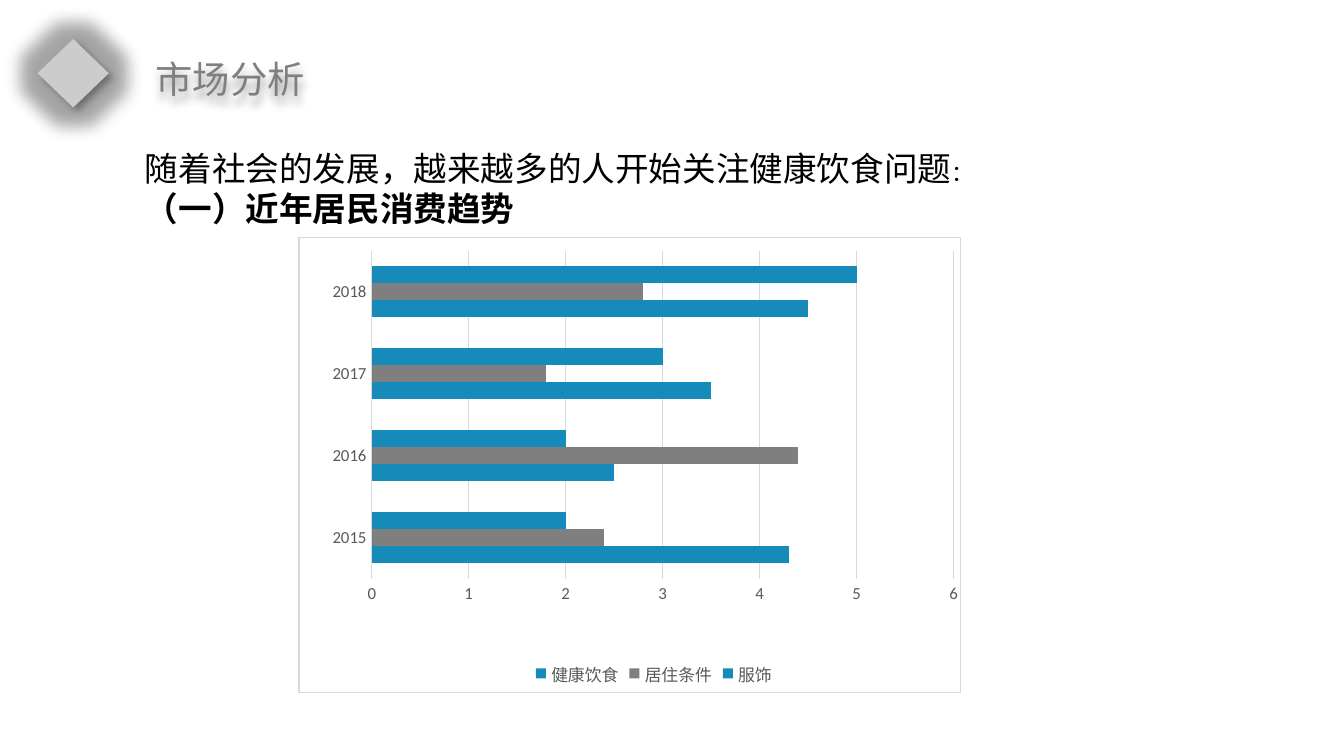
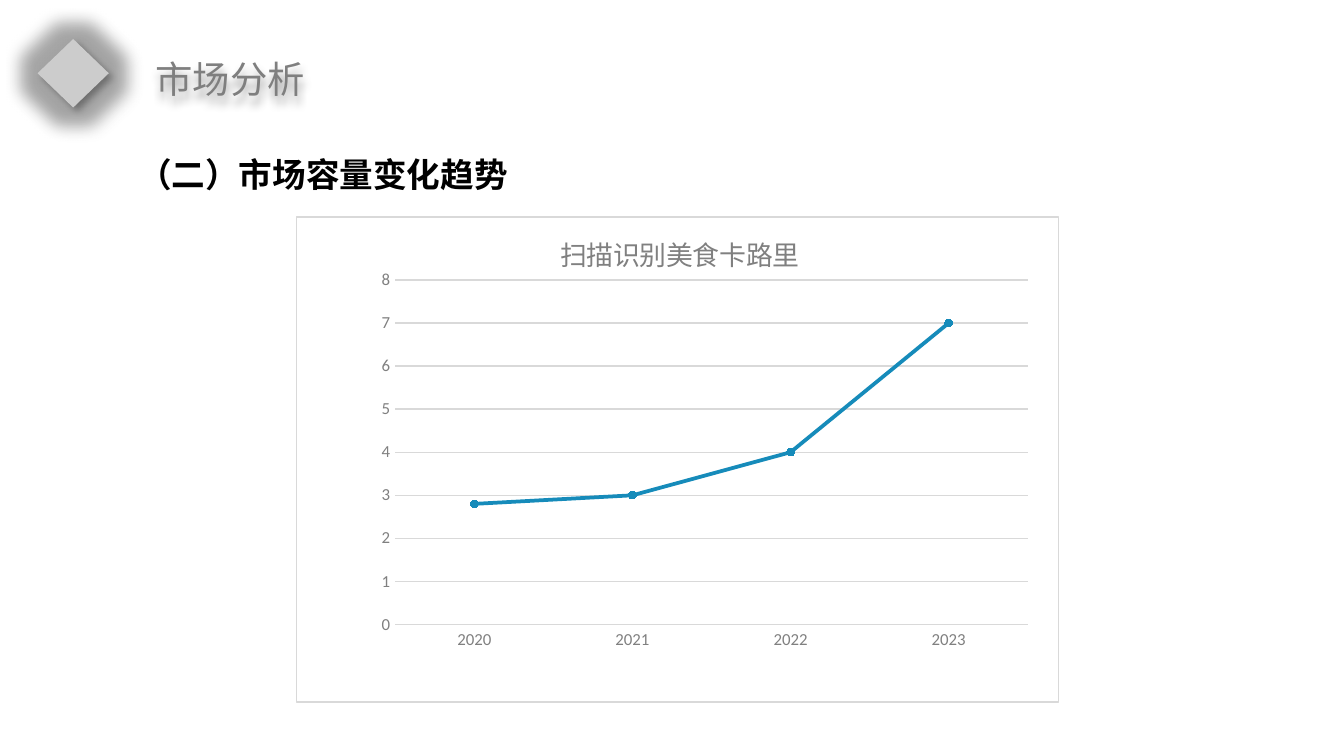
from dataclasses import dataclass

from lxml.etree import SubElement as Sub
from pptx import Presentation
from pptx.chart.data import CategoryChartData
from pptx.dml.color import RGBColor as RGB
from pptx.enum.chart import XL_CHART_TYPE as CT
from pptx.enum.chart import XL_LEGEND_POSITION as LP
from pptx.enum.chart import XL_MARKER_STYLE as MS
from pptx.enum.chart import XL_TICK_MARK as TM
from pptx.enum.shapes import MSO_SHAPE as SHAPE
from pptx.enum.text import MSO_AUTO_SIZE as AUTO
from pptx.oxml import parse_xml
from pptx.oxml.ns import nsdecls, qn
from pptx.util import Inches, Pt


@dataclass(frozen=True)
class Theme:
    """Colours, fonts and type sizes of the deck."""
    cjk: str = "Noto Sans CJK SC"
    latin: str = "Calibri"
    ink: str = "000000"
    paper: str = "FFFFFF"
    accent: str = "168BBA"
    grey: str = "7F7F7F"
    diamond: str = "CCCCCC"
    rule: str = "D9D9D9"
    label_dark: str = "595959"
    label_light: str = "808080"
    title: int = 20
    body: int = 18
    small: int = 12
    chart_title: float = 14.4
    chart: int = 10
    label: int = 9
    leading: float = 1.2


def write(p, text, *, font, size, color, bold=None):
    """Add a run of text in the given format to a paragraph."""
    r = p.add_run()
    r.text = text
    r.font.name, r.font.size, r.font.bold = font, Pt(size), bold
    r.font.color.rgb = RGB.from_string(color)
    Sub(r.font._element, qn("a:ea"), typeface=font)


def black(percent):
    """Return black at the given opacity."""
    return f'<a:srgbClr val="000000"><a:alpha val="{percent * 1000}"/></a:srgbClr>'


def add_effects(s, blur, dist, angle, glow=0):
    """Give a shape a soft shadow and, if wanted, a halo."""
    halo = f'<a:glow rad="{Pt(glow)}">{black(28)}</a:glow>' if glow else ""
    s._element.spPr.append(parse_xml(
        f'<a:effectLst {nsdecls("a")}>{halo}'
        f'<a:outerShdw blurRad="{Pt(blur)}" dist="{Pt(dist)}" dir="{angle * 60000}"'
        f' algn="ctr" rotWithShape="0">{black(40)}</a:outerShdw></a:effectLst>'))


def set_layout(parent, index, inner=False, **shares):
    """Place a chart part by shares of the chart's size."""
    for old in parent.findall(qn("c:layout")):
        parent.remove(old)
    layout = parent.makeelement(qn("c:layout"))
    parent.insert(index, layout)
    manual = Sub(layout, qn("c:manualLayout"))
    if inner:
        Sub(manual, qn("c:layoutTarget"), val="inner")
    for side in "xy":
        Sub(manual, qn(f"c:{side}Mode"), val="edge")
    for key, share in shares.items():
        Sub(manual, qn(f"c:{key}"), val=str(share))


class Deck:
    """Holds the style and the current slide on a grid of 100 columns."""

    def __init__(self, theme):
        """Start a widescreen deck."""
        self.t = theme
        self.prs = Presentation()
        self.prs.slide_width = Inches(10)
        self.prs.slide_height = self.prs.slide_width * 9 // 16
        self.cell = self.prs.slide_width / 100

    def box(self, *at):
        """Turn columns and rows into lengths."""
        return [round(n * self.cell) for n in at]

    def slide(self, title):
        """Add a slide with the shared heading."""
        self.s = self.prs.slides.add_slide(self.prs.slide_layouts[6])
        heading = self.text((10.6, 3.7, 26.6, 4.4), [[(title, {})]],
                            size=self.t.title, color=self.t.grey)
        add_effects(heading, blur=5, dist=4, angle=90)
        self.diamond((2.8, 2.9, 5.3, 5.1))

    def diamond(self, at):
        """Add the glowing marker beside the title."""
        s = self.s.shapes.add_shape(SHAPE.DIAMOND, *self.box(*at))
        s.fill.solid()
        s.fill.fore_color.rgb = RGB.from_string(self.t.diamond)
        s.line.fill.background()
        add_effects(s, blur=4, dist=3, angle=45, glow=18)

    def text(self, at, paragraphs, indent=0, **fmt):
        """Add a text box whose paragraphs are lists of (text, format)."""
        base = dict(font=self.t.cjk, size=self.t.body, color=self.t.ink) | fmt
        s = self.s.shapes.add_textbox(*self.box(*at))
        tf = s.text_frame
        tf.word_wrap, tf.auto_size = True, AUTO.SHAPE_TO_FIT_TEXT
        for i, runs in enumerate(paragraphs):
            p = tf.paragraphs[0] if i == 0 else tf.add_paragraph()
            p.line_spacing = Pt(base["size"] * self.t.leading)
            if indent:
                pPr = p._p.get_or_add_pPr()
                pPr.set("marL", "0")
                pPr.set("indent", str(round(indent * self.cell)))
            for words, extra in runs:
                write(p, words, **base | extra)
        return s

    def chart(self, kind, at, cats, series, plot, top, label):
        """Add a framed chart with plain axes and return it."""
        data = CategoryChartData()
        data.categories = cats
        for name, values in series.items():
            data.add_series(name, values)
        chart = self.s.shapes.add_chart(kind, *self.box(*at), data).chart
        chart.has_title = chart.has_legend = False
        self.font(chart.font, self.t.chart, self.t.ink)
        rule = RGB.from_string(self.t.rule)
        for axis in (chart.category_axis, chart.value_axis):
            axis.major_tick_mark = axis.minor_tick_mark = TM.NONE
            self.font(axis.tick_labels.font, self.t.label, label)
        line = chart.category_axis.format.line
        line.color.rgb, line.width = rule, Pt(0.75)
        values = chart.value_axis
        values.minimum_scale, values.maximum_scale, values.major_unit = 0, top, 1
        values.format.line.fill.background()
        values.has_major_gridlines = True
        grid = values.major_gridlines.format.line
        grid.color.rgb, grid.width = rule, Pt(0.75)
        chart.plots[0].vary_by_categories = False
        body = chart._chartSpace.find(qn("c:chart"))
        set_layout(body.find(qn("c:plotArea")), 0, inner=True, **dict(zip("xywh", plot)))
        body.addnext(parse_xml(
            f'<c:spPr {nsdecls("c", "a")}><a:solidFill><a:srgbClr val="{self.t.paper}"/>'
            f'</a:solidFill><a:ln w="{Pt(0.75)}"><a:solidFill>'
            f'<a:srgbClr val="{self.t.rule}"/></a:solidFill></a:ln></c:spPr>'))
        return chart

    def font(self, font, size, color):
        """Format chart lettering."""
        font.name, font.size = self.t.latin, Pt(size)
        font.color.rgb = RGB.from_string(color)

    def bars(self, at, cats, series, colors, **look):
        """Add a clustered bar chart with a legend below."""
        chart = self.chart(CT.BAR_CLUSTERED, at, cats, series,
                           label=self.t.label_dark, **look)
        plot = chart.plots[0]
        plot.gap_width, plot.overlap = 182, 0
        for ser, color in zip(plot.series, colors):
            ser.format.fill.solid()
            ser.format.fill.fore_color.rgb = RGB.from_string(color)
        chart.has_legend = True
        legend = chart.legend
        legend.position, legend.include_in_layout = LP.BOTTOM, False
        self.font(legend.font, self.t.label, self.t.label_dark)
        set_layout(legend._element, 1, x=0.35, y=0.92)

    def trend(self, at, title, cats, series, **look):
        """Add a titled line chart with round markers."""
        chart = self.chart(CT.LINE_MARKERS, at, cats, series,
                           label=self.t.label_light, **look)
        accent = RGB.from_string(self.t.accent)
        for ser in chart.plots[0].series:
            ser.smooth = False
            ser.format.line.color.rgb, ser.format.line.width = accent, Pt(2)
            ser.marker.style, ser.marker.size = MS.CIRCLE, 4
            ser.marker.format.fill.solid()
            ser.marker.format.fill.fore_color.rgb = accent
            ser.marker.format.line.color.rgb = accent
        chart.has_title = True
        head = chart.chart_title
        write(head.text_frame.paragraphs[0], title, font=self.t.cjk, bold=False,
              size=self.t.chart_title, color=self.t.label_light)
        head.include_in_layout = False
        set_layout(head._element, 1, x=0.34, y=0.02)


def main():
    """Build the two market analysis slides."""
    t = Theme()
    deck = Deck(t)

    deck.slide("市场分析")
    deck.text((8.1, 10.5, 74.1, 7.1), [
        [("随着社会的发展，越来越多的人开始关注健康饮食问题", {}), ("：", {"size": t.small})],
        [("（一）近年居民消费趋势", {"bold": True})],
    ], indent=1.7)
    deck.bars((22.2, 17.6, 49.3, 34), ["2015", "2016", "2017", "2018"], {
        "服饰": (4.3, 2.5, 3.5, 4.5),
        "居住条件": (2.4, 4.4, 1.8, 2.8),
        "健康饮食": (2, 2, 3, 5),
    }, (t.accent, t.grey, t.accent), plot=(0.11, 0.03, 0.88, 0.72), top=6)

    deck.slide("市场分析")
    deck.text((9.3, 11, 55.6, 4), [[("（二）市场容量变化趋势", {})]], bold=True)
    deck.trend((22, 16.1, 56.8, 36.2), "扫描识别美食卡路里",
               ["2020", "2021", "2022", "2023"], {"Series 1": (2.8, 3, 4, 7)},
               plot=(0.13, 0.13, 0.83, 0.71), top=8)

    deck.prs.save("out.pptx")


if __name__ == "__main__":
    main()
